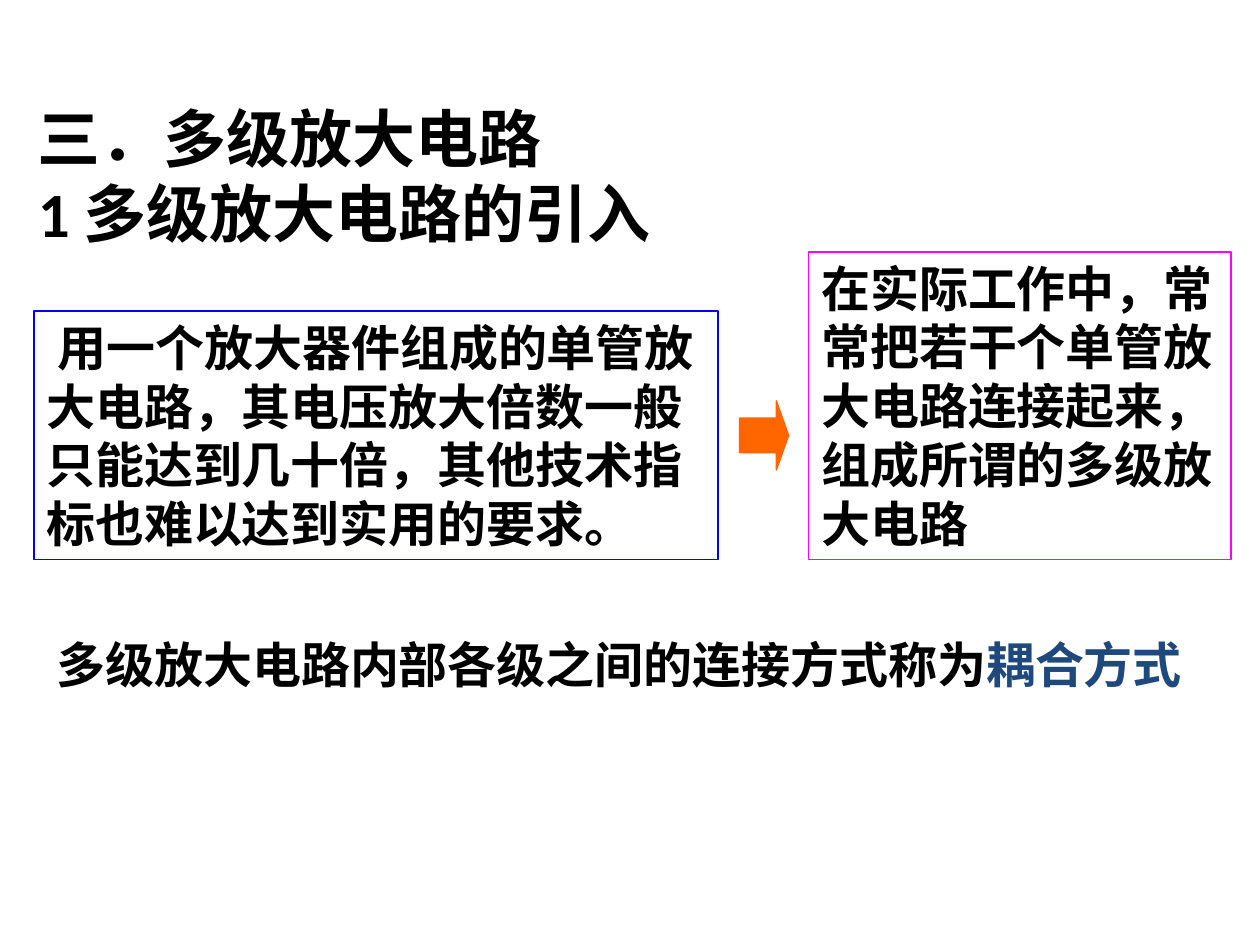
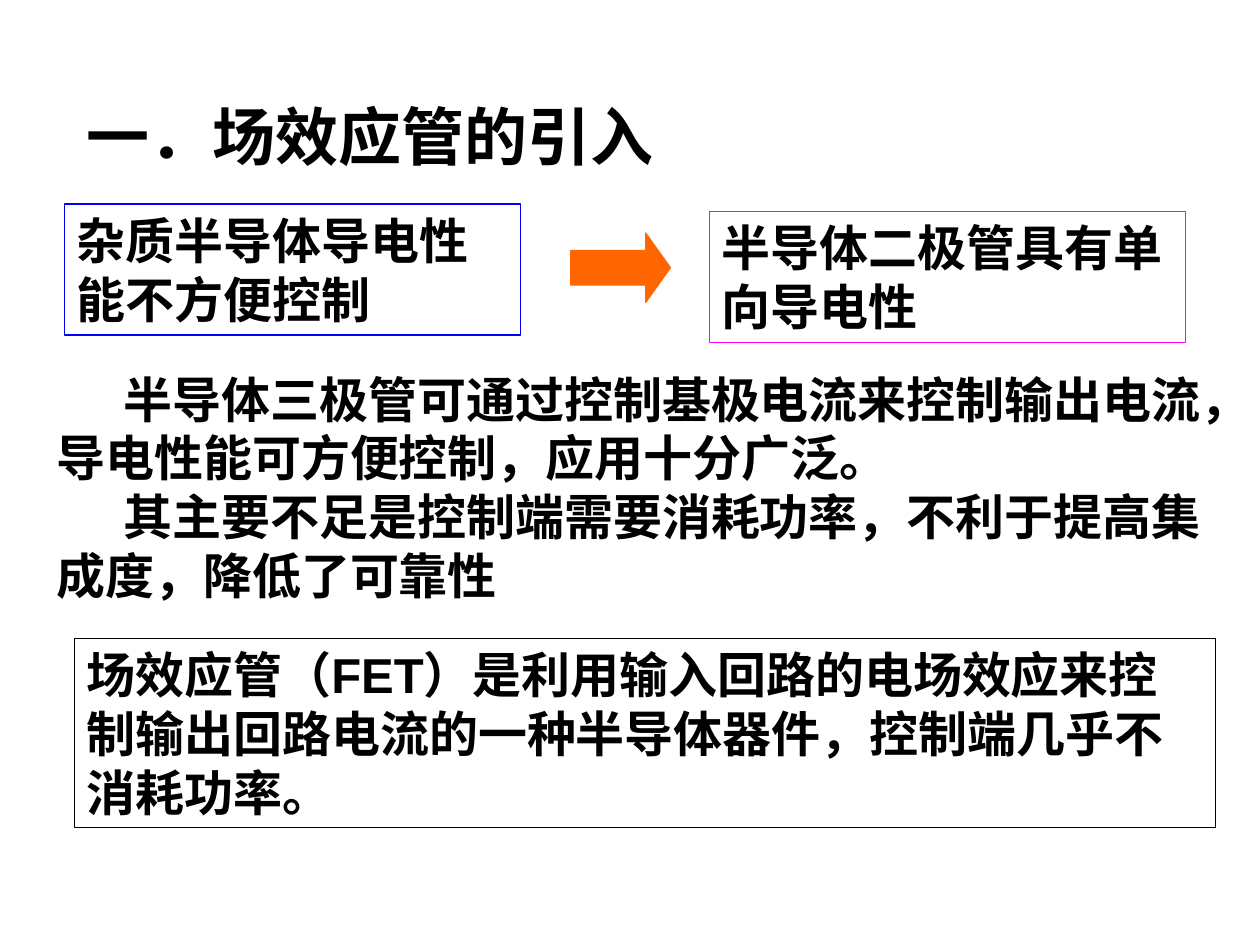
"""Build two slides on multistage amplifiers and field-effect transistors."""
from pptx import Presentation
from pptx.dml.color import RGBColor
from pptx.enum.lang import MSO_LANGUAGE_ID
from pptx.enum.shapes import MSO_SHAPE
from pptx.enum.text import MSO_ANCHOR, MSO_AUTO_SIZE, PP_ALIGN
from pptx.util import Pt

CHINESE = MSO_LANGUAGE_ID.SIMPLIFIED_CHINESE
RECTANGLE, ARROW = MSO_SHAPE.RECTANGLE, MSO_SHAPE.RIGHT_ARROW
TOP, MIDDLE = MSO_ANCHOR.TOP, MSO_ANCHOR.MIDDLE
NO_FIT, LEFT = MSO_AUTO_SIZE.NONE, PP_ALIGN.LEFT

COLORS = {"text": "000000", "cause": "0000FF", "result": "FF00FF",
          "definition": "000000", "arrow": "FF6600", "term": "1F497D"}
TITLE_FONT = {"name": "Calibri", "size": Pt(36), "bold": True, "language_id": CHINESE}
BODY_FONT = {"name": "Arial", "size": Pt(28), "bold": True, "language_id": CHINESE}
FRAME = {"word_wrap": True, "auto_size": NO_FIT,
         "margin_left": Pt(7.2), "margin_right": Pt(7.2),
         "margin_top": Pt(3.6), "margin_bottom": Pt(3.6)}
TITLE_SIZE = (648, 57)

SLIDES = [
    {
        "title": ("三．多级放大电路\v1 多级放大电路的引入", 14.4, 71.3),
        "arrow": ((422.6, 229, 28.1, 39.6), 0.25),
        "texts": [
            {"at": (19.4, 177.8, 391, 141.8), "border": "cause", "indent": 6.5,
             "paragraphs": [[("用一个放大器件组成的单管放大电路，其电压放大倍数一般"
                              "只能达到几十倍，其他技术指标也难以达到实用的要求。", "text")]]},
            {"at": (462.2, 144, 241.2, 175.7), "border": "result",
             "paragraphs": [[("在实际工作中，常常把若干个单管放大电路连接起来，"
                              "组成所谓的多级放大电路", "text")]]},
            {"at": (25.2, 359.3, 668.9, 41),
             "paragraphs": [[("多级放大电路内部各级之间的连接方式称为", "text"),
                             ("耦合方式", "term")]]},
        ],
    },
    {
        "title": ("一．场效应管的引入", 42.5, 49),
        "arrow": ((326.2, 133.2, 56.9, 39.6), 0.357),
        "texts": [
            {"at": (36.7, 116.6, 260.6, 74.9), "border": "cause",
             "paragraphs": [[("杂质半导体导电性能不方便控制", "text")]]},
            {"at": (405.4, 121, 272.2, 74.9), "border": "result",
             "paragraphs": [[("半导体二极管具有单向导电性", "text")]]},
            {"at": (25.2, 207.4, 668.9, 141.8), "indent": 38.5,
             "paragraphs": [[("半导体三极管可通过控制基极电流来控制输出电流，"
                              "导电性能可方便控制，应用十分广泛。", "text")],
                            [("其主要不足是控制端需要消耗功率，不利于提高集成度，"
                              "降低了可靠性", "text")]]},
            {"at": (42.5, 365, 652.3, 108), "border": "definition",
             "paragraphs": [[("场效应管（FET）是利用输入回路的电场效应来控制输出回路"
                              "电流的一种半导体器件，控制端几乎不消耗功率。", "text")]]},
        ],
    },
]


def color(name):
    return RGBColor.from_string(COLORS[name])


def apply(target, values):
    for name, value in values.items():
        setattr(target, name, value)


def place(shape, left, top, width, height):
    apply(shape, {"left": Pt(left), "top": Pt(top), "width": Pt(width), "height": Pt(height)})


def add_title(slide, text, left, top):
    title = slide.shapes.title
    place(title, left, top, *TITLE_SIZE)
    title.text_frame.text = text
    apply(title.text_frame, FRAME | {"vertical_anchor": MIDDLE})
    paragraph = title.text_frame.paragraphs[0]
    paragraph.alignment = LEFT
    for run in paragraph.runs:
        apply(run.font, TITLE_FONT)
        run.font.color.rgb = color("text")


def add_text(slide, at, paragraphs, border=None, indent=0):
    box = [Pt(value) for value in at]
    if border:
        shape = slide.shapes.add_shape(RECTANGLE, *box)
        shape.shadow.inherit = False
        shape.fill.background()
        shape.line.color.rgb = color(border)
        shape.line.width = Pt(0.75)
    else:
        shape = slide.shapes.add_textbox(*box)
    frame = shape.text_frame
    apply(frame, FRAME | {"vertical_anchor": TOP})
    for index, runs in enumerate(paragraphs):
        paragraph = frame.add_paragraph() if index else frame.paragraphs[0]
        paragraph.alignment = LEFT
        if indent:
            paragraph._p.get_or_add_pPr().set("indent", str(Pt(indent)))
        for text, tone in runs:
            run = paragraph.add_run()
            run.text = text
            apply(run.font, BODY_FONT)
            run.font.color.rgb = color(tone)


def add_arrow(slide, at, head):
    arrow = slide.shapes.add_shape(ARROW, *[Pt(value) for value in at])
    arrow.shadow.inherit = False
    arrow.adjustments[0] = 0.5
    arrow.adjustments[1] = head
    arrow.fill.solid()
    arrow.fill.fore_color.rgb = color("arrow")
    arrow.line.color.rgb = color("arrow")
    arrow.line.width = Pt(0.75)


def main():
    presentation = Presentation()
    presentation.slide_width, presentation.slide_height = Pt(720), Pt(540)
    for content in SLIDES:
        slide = presentation.slides.add_slide(presentation.slide_layouts[5])
        add_title(slide, *content["title"])
        add_arrow(slide, *content["arrow"])
        for text in content["texts"]:
            add_text(slide, **text)
    presentation.save("out.pptx")


if __name__ == "__main__":
    main()
